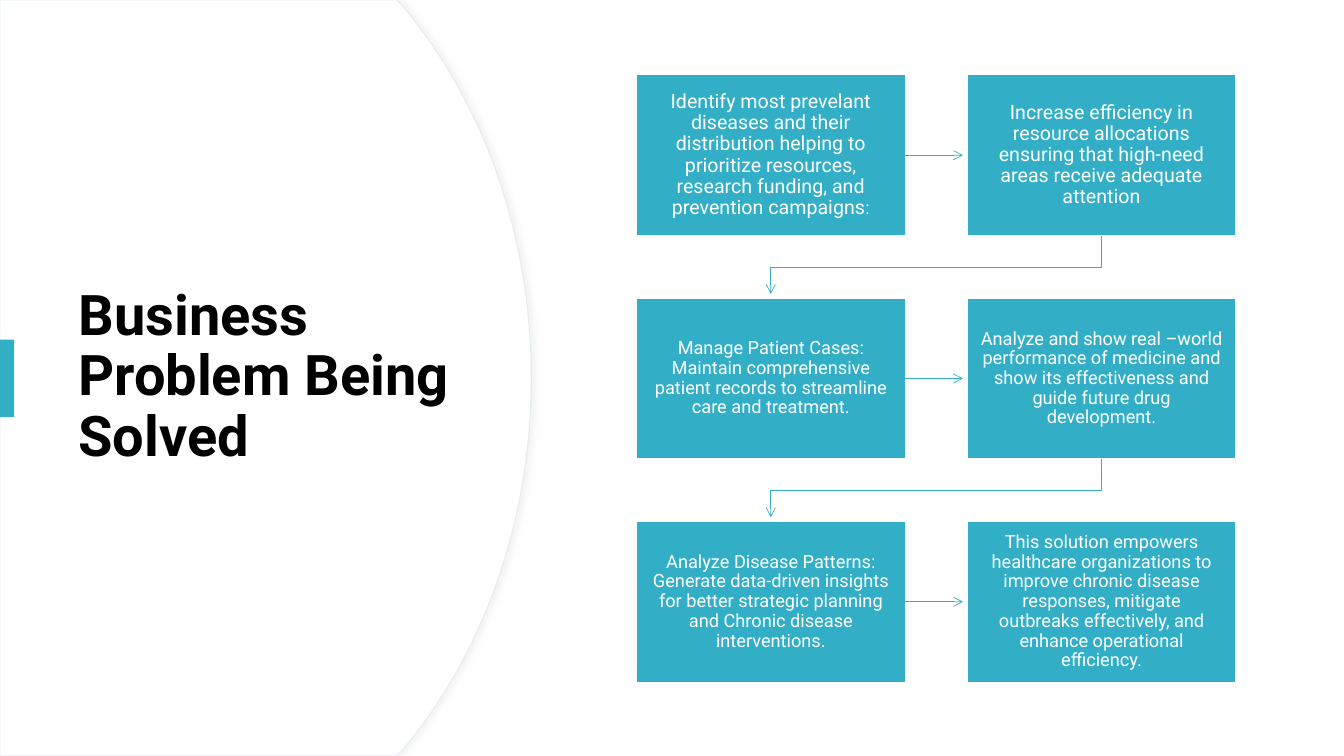
import pptx
import pptx.util
import pptx.dml.color
import pptx.enum.shapes
import pptx.enum.text
import pptx.oxml.ns
from lxml import etree

Inches, Pt = pptx.util.Inches, pptx.util.Pt
Kind = pptx.enum.shapes.MSO_SHAPE
Align = pptx.enum.text.PP_ALIGN
Anchor = pptx.enum.text.MSO_ANCHOR

# Content: one list per row, each box as (text, size) runs
TITLE = "Business Problem Being Solved"
STEPS = [
    [[("Identify most prevelant diseases and their distribution helping to "
       "prioritize resources, research funding, and prevention campaigns", "large"),
      (":", "small")],
     [("Increase efficiency in resource allocations ensuring that high-need "
       "areas receive adequate attention", "large")]],
    [[("Manage Patient Cases: Maintain comprehensive patient records to "
       "streamline care and treatment.", "small")],
     [("Analyze and show real –world performance of medicine and show its "
       "effectiveness and guide future drug development.", "small")]],
    [[("Analyze Disease Patterns: Generate data-driven insights for better "
       "strategic planning and Chronic disease interventions.", "small")],
     [("This solution empowers healthcare organizations to improve chronic "
       "disease responses, mitigate outbreaks effectively, and enhance "
       "operational efficiency.", "small")]],
]

THEME = {
    "font": "Roboto",
    "teal": "32AFC7", "white": "FFFFFF", "black": "000000",
    "edge": "E3EDEF", "shade": "D9D9D9",
    "title": 40, "large": 14, "small": 13,
}

# Layout in inches
WIDE, HIGH = 13.33, 7.5
LEFT, TOP = 6.31, 0.74
BOX_W, BOX_H = 2.67, 1.6
STEP_X, STEP_Y = 3.28, 2.215
GAP = 0.04
CURVE = [(4.01, 0.08), (4.79, 1.02), (5.27, 2.32), (5.27, 3.75)]


def color(name):
    return pptx.dml.color.RGBColor.from_string(THEME[name])


def paint(shape, fill, line=None, width=1):
    shape.shadow.inherit = False
    if fill:
        shape.fill.solid()
        shape.fill.fore_color.rgb = color(fill)
    else:
        shape.fill.background()
    if line:
        shape.line.color.rgb = color(line)
        shape.line.width = Pt(width)
    else:
        shape.line.fill.background()


def add(parent, tag, **attrs):
    return etree.SubElement(parent, pptx.oxml.ns.qn(tag), attrs)


def arrow(shape):
    shape.line.color.rgb = color("teal")
    shape.line.width = Pt(0.5)
    add(shape.line._get_or_add_ln(), "a:tailEnd", type="arrow")


def write(para, text, size, tint, bold=False):
    run = para.add_run()
    run.text = text
    run.font.name = THEME["font"]
    run.font.size = Pt(THEME[size])
    run.font.color.rgb = color(tint)
    run.font.bold = bold


def frame(shape, align):
    body = shape.text_frame
    body.word_wrap = True
    body.vertical_anchor = Anchor.MIDDLE
    para = body.paragraphs[0]
    para.alignment = align
    para.line_spacing = 0.9
    return para


def trace(shapes, points, close):
    spots = [(Inches(x), Inches(y)) for x, y in points]
    pen = shapes.build_freeform(*spots[0])
    pen.add_line_segments(spots[1:], close=close)
    return pen.convert_to_shape()


def bend(t):
    parts = ((1 - t) ** 3, 3 * t * (1 - t) ** 2, 3 * t * t * (1 - t), t ** 3)
    return tuple(sum(w * p[i] for w, p in zip(parts, CURVE)) for i in (0, 1))


def draw_panel(shapes):
    upper = [(0, 0), (3.94, 0)] + [bend(i / 40) for i in range(41)]
    lower = [(x, HIGH - y) for x, y in reversed(upper[:-1])]
    panel = trace(shapes, upper + lower, True)
    paint(panel, "white", "edge", 0.75)
    effects = panel._element.spPr.find(pptx.oxml.ns.qn("a:effectLst"))
    shade = add(effects, "a:outerShdw", blurRad=str(Pt(4)), dist=str(Pt(3)),
                dir="0", algn="l", rotWithShape="0")
    tint = add(shade, "a:srgbClr", val=THEME["shade"])
    add(tint, "a:alpha", val="30000")


def draw_title(shapes):
    box = shapes.add_textbox(Inches(0.68), Inches(1.27), Inches(3.94), Inches(4.95))
    write(frame(box, Align.LEFT), TITLE, "title", "black", True)
    mark = shapes.add_shape(Kind.RECTANGLE, 0, Inches(3.37), Inches(0.14), Inches(0.77))
    paint(mark, "teal")


def draw_box(shapes, x, y, runs):
    box = shapes.add_shape(Kind.RECTANGLE, Inches(x), Inches(y),
                           Inches(BOX_W), Inches(BOX_H))
    paint(box, "teal", "white")
    para = frame(box, Align.CENTER)
    body = box.text_frame
    body.margin_left = body.margin_right = Inches(0.13)
    body.margin_top = body.margin_bottom = Inches(0.14)
    for text, size in runs:
        write(para, text, size, "white")
    return box


def draw_flow(shapes):
    right = LEFT + STEP_X
    for row, cells in enumerate(STEPS):
        y = TOP + row * STEP_Y
        boxes = [draw_box(shapes, LEFT + col * STEP_X, y, runs)
                 for col, runs in enumerate(cells)]

        # Arrow across the row
        mid = Inches(y + BOX_H / 2)
        link = shapes.add_connector(pptx.enum.shapes.MSO_CONNECTOR.STRAIGHT,
                                    Inches(LEFT + BOX_W), mid,
                                    Inches(right - GAP), mid)
        link.begin_connect(boxes[0], 3)
        arrow(link)
        add(link._element.spPr, "a:effectLst")

        # Bent arrow down to the next row
        if row < len(STEPS) - 1:
            start, end = right + BOX_W / 2, LEFT + BOX_W / 2
            base = y + BOX_H
            turn = base + (STEP_Y - BOX_H) / 2
            route = trace(shapes, [(start, base), (start, turn), (end, turn),
                                   (end, y + STEP_Y - GAP)], False)
            paint(route, None)
            arrow(route)


def main():
    deck = pptx.Presentation()
    deck.slide_width, deck.slide_height = Inches(WIDE), Inches(HIGH)
    slide = deck.slides.add_slide(deck.slide_layouts[6])
    slide.background.fill.solid()
    slide.background.fill.fore_color.rgb = color("white")
    draw_panel(slide.shapes)
    draw_title(slide.shapes)
    draw_flow(slide.shapes)
    deck.save("out.pptx")


if __name__ == "__main__":
    main()
